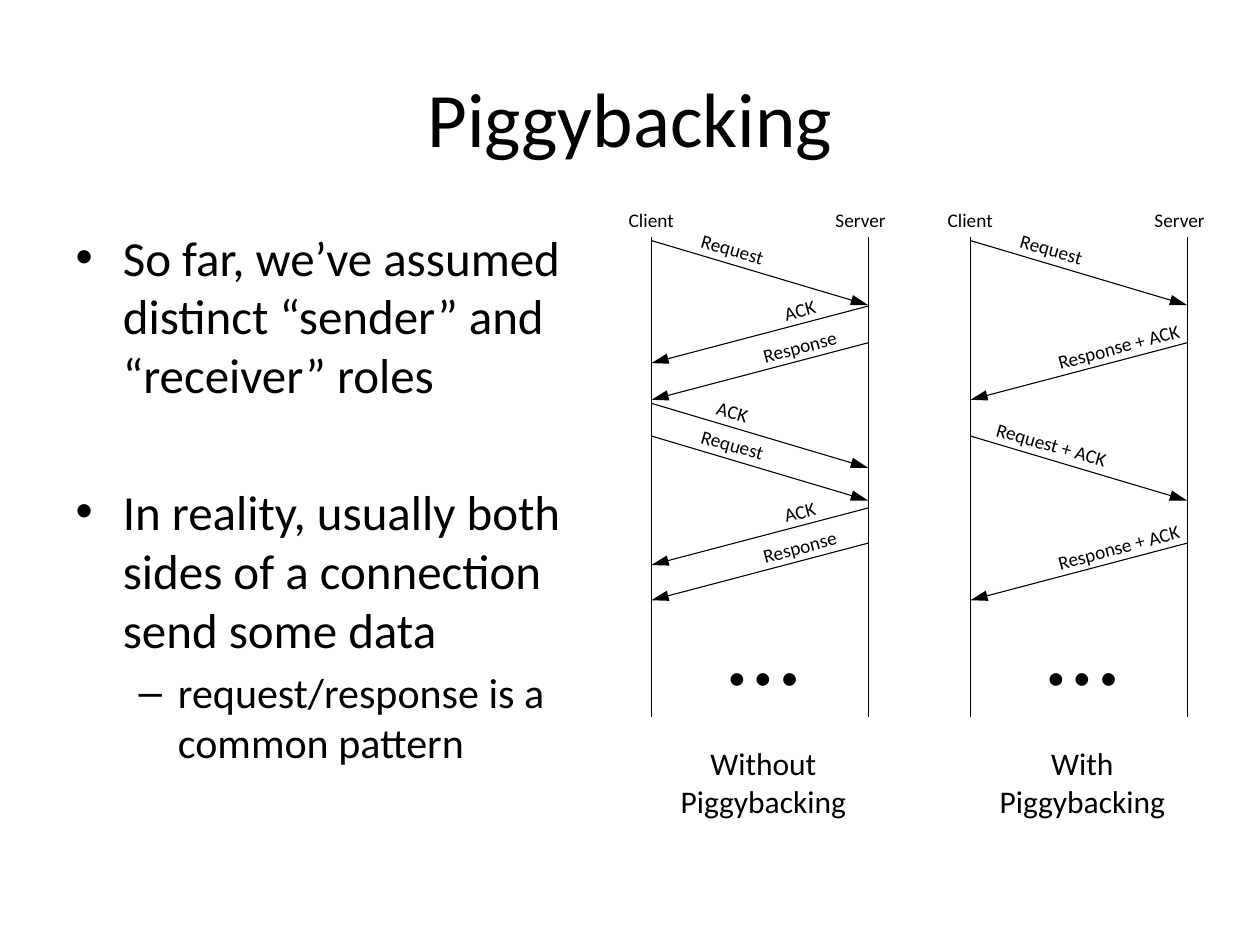
from dataclasses import dataclass
from lxml import etree
from pptx import Presentation
from pptx.dml.color import RGBColor
from pptx.enum.shapes import MSO_CONNECTOR
from pptx.enum.text import MSO_ANCHOR, MSO_AUTO_SIZE, PP_ALIGN
from pptx.oxml.ns import qn
from pptx.util import Cm, Pt

LINE = MSO_CONNECTOR.STRAIGHT
MIDDLE = MSO_ANCHOR.MIDDLE
FIXED = MSO_AUTO_SIZE.NONE
CENTER = PP_ALIGN.CENTER


@dataclass(frozen=True)
class Theme:
    font: str = "Calibri"
    ink: RGBColor = RGBColor(0, 0, 0)
    title: int = 44
    body: int = 28
    sub: int = 24
    dots: int = 60
    note: int = 18
    label: int = 11
    line: float = 0.63


THEME = Theme()
SPAN = 4.37
TOP = 4.78
END = 14.45

BULLETS = [
    ("So far, we’ve assumed distinct “sender” and “receiver” roles", 0, THEME.body, None),
    ("In reality, usually both sides of a connection send some data", 0, THEME.body, 44.6),
    ("request/response is a common pattern", 1, THEME.sub, None),
]
PANELS = [
    (13.13, "Without Piggybacking", [
        ("Request", 4.85, True),
        ("ACK", 6.17, False),
        ("Response", 6.91, False),
        ("ACK", 8.13, True),
        ("Request", 8.79, True),
        ("ACK", 10.24, False),
        ("Response", 10.95, False),
    ]),
    (19.56, "With Piggybacking", [
        ("Request", 4.85, True),
        ("Response + ACK", 6.91, False),
        ("Request + ACK", 8.79, True),
        ("Response + ACK", 10.95, False),
    ]),
]


def style(para, size):
    for run in para.runs:
        run.font.name = THEME.font
        run.font.size = Pt(size)
        run.font.color.rgb = THEME.ink


def place(shape, left, top, width, height):
    shape.left, shape.top = Cm(left), Cm(top)
    shape.width, shape.height = Cm(width), Cm(height)


def add_text(slide, text, x, top, width, height, size):
    box = slide.shapes.add_textbox(Cm(x - width / 2), Cm(top), Cm(width), Cm(height))
    frame = box.text_frame
    frame.word_wrap = True
    frame.text = text
    para = frame.paragraphs[0]
    para.alignment = CENTER
    style(para, size)
    return box


def add_label(slide, text, x, y, turn=0):
    box = add_text(slide, text, x, y - 0.24, 3, 0.48, THEME.label)
    frame = box.text_frame
    frame.margin_left = frame.margin_right = 0
    frame.margin_top = frame.margin_bottom = 0
    frame.vertical_anchor = MIDDLE
    box.rotation = turn


def add_line(slide, x1, y1, x2, y2, arrow=False):
    line = slide.shapes.add_connector(LINE, Cm(x1), Cm(y1), Cm(x2), Cm(y2))
    line.line.color.rgb = THEME.ink
    line.line.width = Pt(THEME.line)
    if arrow:
        stroke = line.line._get_or_add_ln()
        etree.SubElement(stroke, qn("a:tailEnd"), type="triangle", w="med", len="lg")
    props = line._element.spPr
    etree.SubElement(props, qn("a:effectLst"))


def add_message(slide, x, text, y, out):
    if out:
        add_line(slide, x, y, x + SPAN, y + 1.3, True)
        add_label(slide, text, x + 1.64, y + 0.17, 16)
    else:
        add_line(slide, x + SPAN, y, x, y + 1.15, True)
        add_label(slide, text, x + 2.99, y + 0.07, 345)


def add_panel(slide, x, note, steps):
    add_label(slide, "Client", x, 4.43)
    add_label(slide, "Server", x + 4.22, 4.43)
    for side in (x, x + SPAN):
        add_line(slide, side, TOP, side, END)
    for step in steps:
        add_message(slide, x, *step)
    mid = x + 2.26
    add_text(slide, "…", mid, 11.58, 2.46, 2.82, THEME.dots)
    add_text(slide, note, mid, 14.88, 4.32, 1.8, THEME.note)


def fill_title(slide):
    title = slide.shapes.title
    place(title, 1.27, 0.76, 22.86, 3.18)
    frame = title.text_frame
    frame.text = "Piggybacking"
    frame.vertical_anchor = MIDDLE
    para = frame.paragraphs[0]
    para.alignment = CENTER
    style(para, THEME.title)


def fill_body(slide):
    body = slide.placeholders[1]
    place(body, 1.27, 4.45, 11.23, 12.57)
    frame = body.text_frame
    frame.auto_size = FIXED
    frame.text = "\n".join(item[0] for item in BULLETS)
    for para, (_, level, size, gap) in zip(frame.paragraphs, BULLETS):
        para.level = level
        if gap:
            para.space_before = Pt(gap)
        style(para, size)


def main():
    deck = Presentation()
    deck.slide_width, deck.slide_height = Cm(25.4), Cm(19.05)
    slide = deck.slides.add_slide(deck.slide_layouts[1])
    fill_title(slide)
    fill_body(slide)
    for panel in PANELS:
        add_panel(slide, *panel)
    deck.save("out.pptx")


main()
